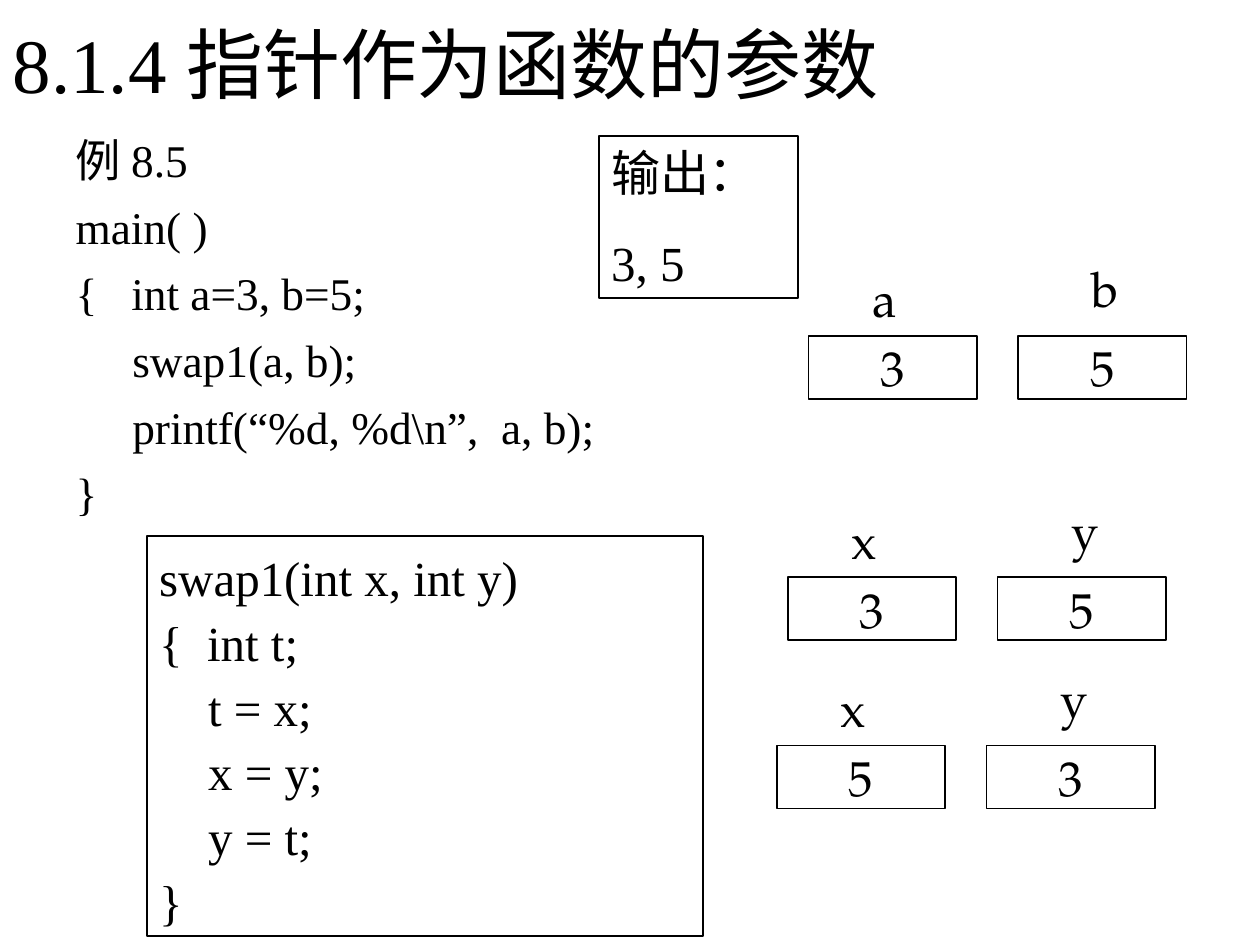
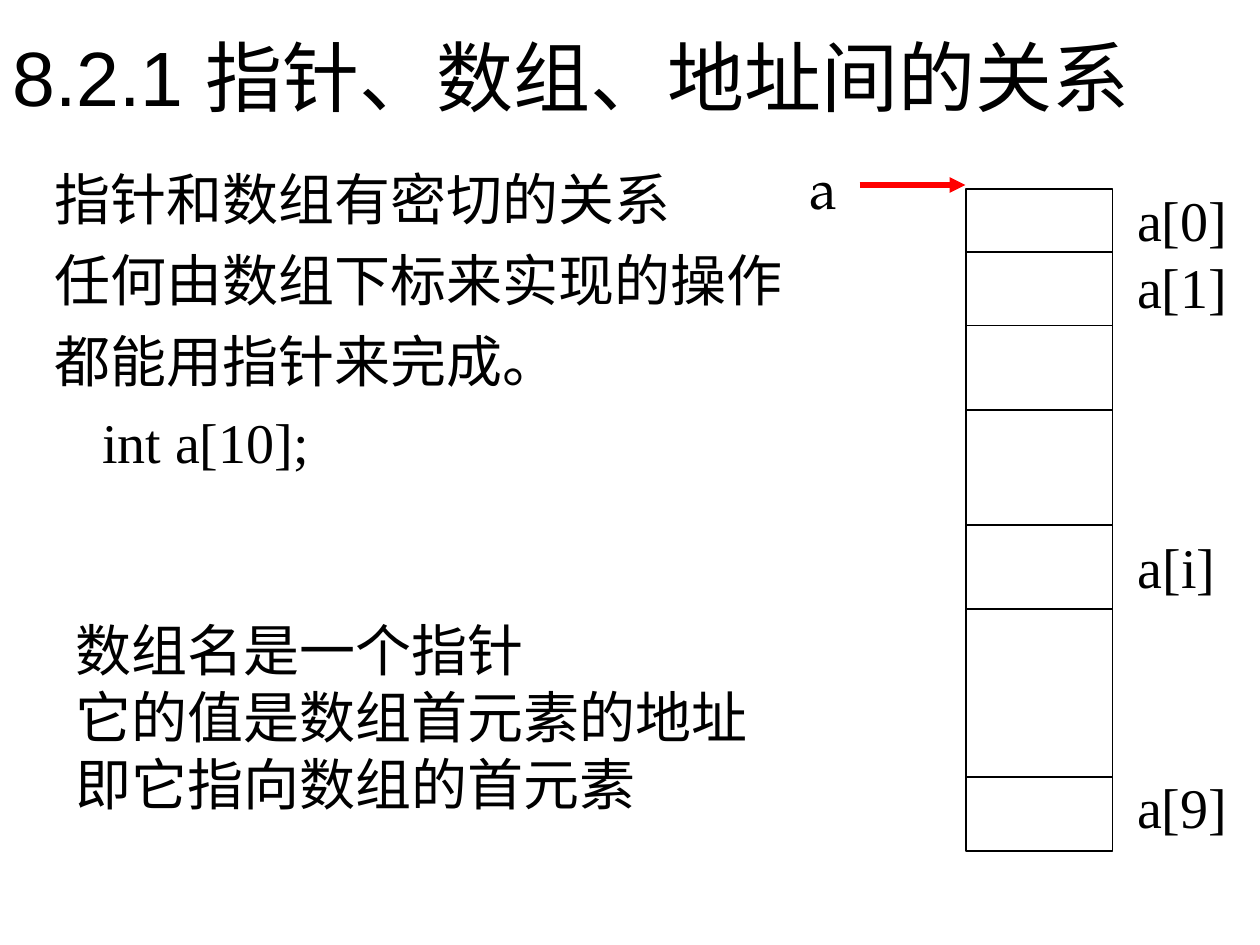
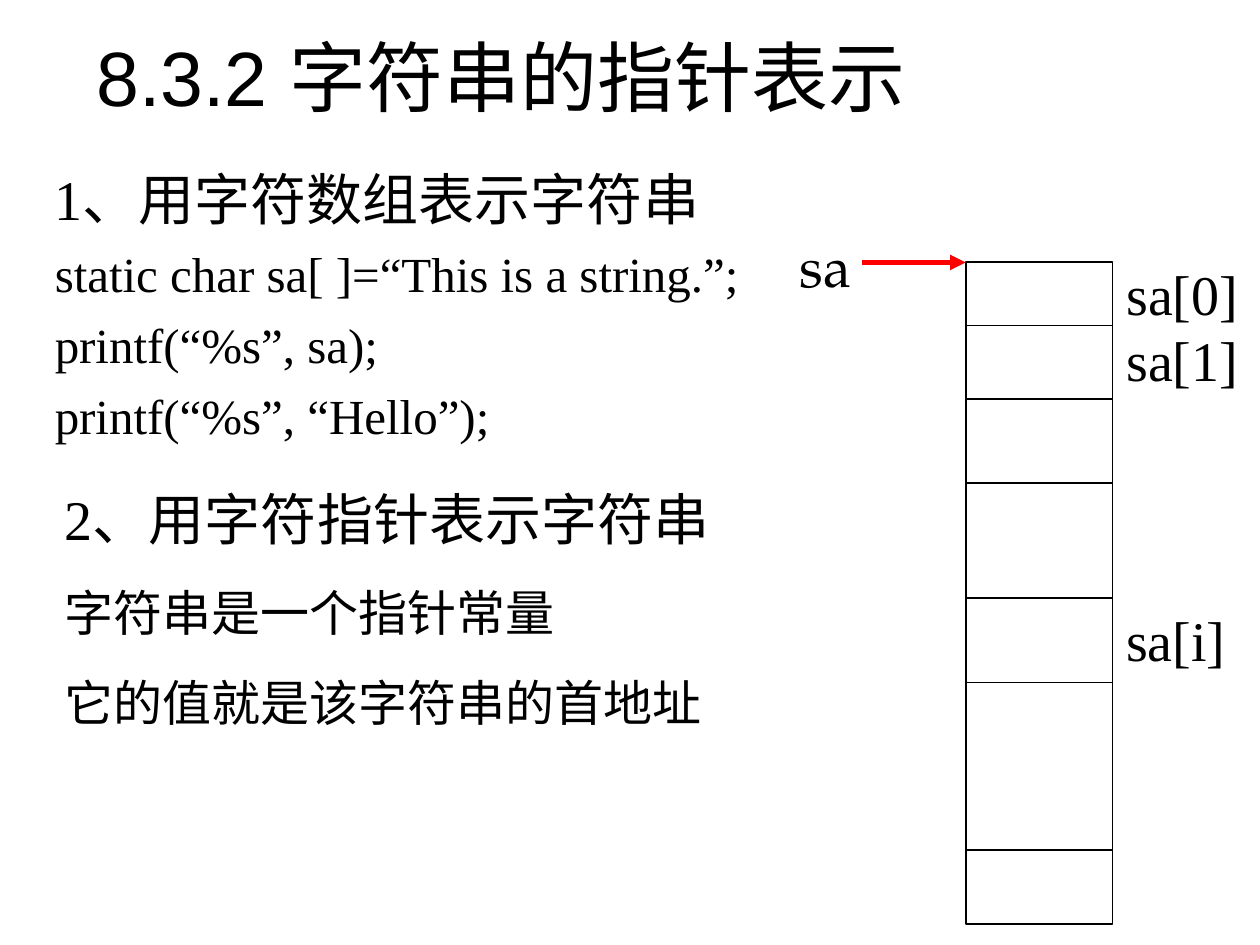
"""Build three lecture slides about pointers in C."""
from dataclasses import dataclass

from lxml import etree
from pptx import Presentation
from pptx import util as u
from pptx.dml.color import RGBColor
from pptx.enum import shapes, text
from pptx.oxml import ns


@dataclass(frozen=True)
class Theme:
    ink: RGBColor = RGBColor(0, 0, 0)
    accent: RGBColor = RGBColor(255, 0, 0)
    serif: str = "Times New Roman"
    sans: str = "Arial"
    symbol: str = "TeX Gyre Pagella"
    title: float = 44
    large: float = 32
    medium: float = 28
    listing: float = 25.9
    thin: float = 1
    thick: float = 3


THEME = Theme()
ROW_EDGES = (1.27, 2.75, 4.45, 6.77, 8.47, 11.85)
ARRAY_LEFT, ARRAY_WIDTH, ARRAY_HEIGHT = 19.47, 2.96, 13.34
CELL_WIDTH, CELL_HEIGHT, CELL_STEP = 3.39, 1.27, 4.23


def assign(target, values):
    for name, value in values.items():
        setattr(target, name, value)


class Deck:
    def __init__(self, theme):
        self.theme = theme
        self.presentation = Presentation()
        assign(self.presentation, {"slide_width": u.Cm(25.4), "slide_height": u.Cm(19.05)})
        self.slide = None

    def new_slide(self, title, box, font):
        layout = self.presentation.slide_layouts[1]
        self.slide = self.presentation.slides.add_slide(layout)
        shape = self.slide.shapes.title
        self.place(shape, box)
        self.set_text(shape, [title], self.theme.title, font, anchor=text.MSO_ANCHOR.MIDDLE)

    def place(self, shape, box):
        assign(shape, dict(zip(("left", "top", "width", "height"), map(u.Cm, box))))

    def set_text(self, shape, lines, size, font=None, gap=0, spacing=1.0, wrap=True,
                 anchor=text.MSO_ANCHOR.TOP, align=text.PP_ALIGN.LEFT):
        frame = shape.text_frame
        assign(frame, {"text": "\n".join(lines), "word_wrap": wrap,
                       "vertical_anchor": anchor, "auto_size": text.MSO_AUTO_SIZE.NONE})
        for index, paragraph in enumerate(frame.paragraphs):
            etree.SubElement(paragraph._p.get_or_add_pPr(), ns.qn("a:buNone"))
            assign(paragraph, {"alignment": align, "line_spacing": spacing,
                               "space_before": u.Pt(gap if index else 0)})
            for run in paragraph.runs:
                assign(run.font, {"name": font or self.theme.serif, "size": u.Pt(size)})
                run.font.color.rgb = self.theme.ink
        return frame.paragraphs

    def body(self, lines, box, size, gap):
        shape = self.slide.placeholders[1]
        self.place(shape, box)
        return self.set_text(shape, lines, size, gap=gap)

    def text_box(self, lines, box, size, **style):
        shape = self.slide.shapes.add_textbox(*map(u.Cm, box))
        return self.set_text(shape, lines, size, **style)

    def label(self, caption, box, size, font=None):
        self.text_box([caption], box, size, font=font, wrap=False,
                      anchor=text.MSO_ANCHOR.MIDDLE, align=text.PP_ALIGN.CENTER)

    def frame(self, box, lines=(), **style):
        shape = self.slide.shapes.add_shape(shapes.MSO_SHAPE.RECTANGLE, *map(u.Cm, box))
        shape.shadow.inherit = False
        shape.fill.background()
        shape.line.color.rgb = self.theme.ink
        shape.line.width = u.Pt(self.theme.thin)
        if lines:
            self.set_text(shape, lines, self.theme.medium, **style)

    def line(self, start, end, arrow=False):
        connector = self.slide.shapes.add_connector(
            shapes.MSO_CONNECTOR.STRAIGHT, *map(u.Cm, start + end))
        connector.line.color.rgb = self.theme.accent if arrow else self.theme.ink
        connector.line.width = u.Pt(self.theme.thick if arrow else self.theme.thin)
        if arrow:
            outline = connector.line._get_or_add_ln()
            etree.SubElement(outline, ns.qn("a:tailEnd"), type="triangle")
        etree.SubElement(connector._element.spPr, ns.qn("a:effectLst"))

    def variable_pair(self, left, top, names, values):
        offsets = ((1.01, -1.48), (5.45, -1.69))
        for index, (name, value, (across, down)) in enumerate(zip(names, values, offsets)):
            self.frame((left + index * CELL_STEP, top, CELL_WIDTH, CELL_HEIGHT), [value],
                       font=self.theme.symbol, wrap=False,
                       anchor=text.MSO_ANCHOR.MIDDLE, align=text.PP_ALIGN.CENTER)
            self.label(name, (left + across, top + down, 1.07, 1.45),
                       self.theme.medium, self.theme.symbol)

    def memory_array(self, top, label_left, labels):
        right = ARRAY_LEFT + ARRAY_WIDTH
        self.frame((ARRAY_LEFT, top, ARRAY_WIDTH, ARRAY_HEIGHT))
        for edge in ROW_EDGES:
            self.line((ARRAY_LEFT, top + edge), (right, top + edge))
        for caption, offset, width in labels:
            self.label(caption, (label_left, top + offset, width, 1.63), self.theme.large)

    def pointer(self, name, box, start, end):
        self.label(name, box, self.theme.large, self.theme.symbol)
        self.line(start, end, arrow=True)


def build_swap(deck):
    deck.new_slide("8.1.4 指针作为函数的参数", (0, 0, 20.75, 2.54), THEME.serif)
    deck.body(["例 8.5", "main( )", "{   int a=3, b=5;", "     swap1(a, b);",
               "     printf(“%d, %d\\n”,  a, b);", "}"],
              (1.27, 2.54, 12.28, 8.26), THEME.listing, 7)
    deck.frame((2.96, 10.8, 11.22, 8.07),
               ["swap1(int x, int y)", "{  int t;", "    t = x;", "    x = y;",
                "    y = t;", "}"], spacing=1.1)
    deck.frame((12.07, 2.75, 4.02, 3.26), ["输出：", "3, 5"], gap=17.5)
    for left, top, names, values in ((16.3, 6.77, "ab", "35"),
                                     (15.88, 11.64, "xy", "35"),
                                     (15.66, 15.03, "xy", "53")):
        deck.variable_pair(left, top, names, values)


def build_array(deck):
    deck.new_slide("8.2.1 指针、数组、地址间的关系", (0, 0, 24.13, 3.07), THEME.sans)
    paragraphs = deck.body(["指针和数组有密切的关系", "任何由数组下标来实现的操作",
                            "都能用指针来完成。", "int a[10];"],
                           (0.85, 3.18, 16.93, 7.2), THEME.large, 8)
    for paragraph in paragraphs[:-1]:
        paragraph.alignment = text.PP_ALIGN.JUSTIFY
    paragraphs[-1]._p.get_or_add_pPr().set("indent", "0")
    deck.memory_array(3.81, 22.68, (("a[0]", -0.2, 2.31), ("a[1]", 1.14, 2.31),
                                    ("a[i]", 6.78, 2.08), ("a[9]", 11.63, 2.31)))
    deck.text_box(["数组名是一个指针", "它的值是数组首元素的地址", "即它指向数组的首元素"],
                  (1.27, 12.28, 14.61, 4.32), THEME.large)
    deck.pointer("a", (16.03, 2.96, 1.14, 1.63), (17.33, 3.73), (19.46, 3.73))


def build_string(deck):
    deck.new_slide("8.3.2 字符串的指针表示", (1.69, 0, 21.38, 3.07), THEME.sans)
    listing = deck.body(["1、用字符数组表示字符串", "static char sa[ ]=“This is a string.”;",
                         "printf(“%s”, sa);", "printf(“%s”, “Hello”);"],
                        (0.85, 3.18, 17.15, 5.93), THEME.medium, 7)
    deck.memory_array(5.29, 22.45, (("sa[0]", -0.2, 2.77), ("sa[1]", 1.14, 2.77),
                                    ("sa[i]", 6.78, 2.51)))
    deck.pointer("sa", (15.8, 4.52, 1.68, 1.63), (17.37, 5.29), (19.47, 5.29))
    notes = deck.text_box(["2、用字符指针表示字符串", "字符串是一个指针常量",
                           "它的值就是该字符串的首地址"],
                          (1.06, 9.65, 16.72, 8.2), THEME.medium, gap=17.5)
    for heading in (listing[0], notes[0]):
        heading.runs[0].font.size = u.Pt(THEME.large)


def main():
    deck = Deck(THEME)
    for build in (build_swap, build_array, build_string):
        build(deck)
    deck.presentation.save("out.pptx")


if __name__ == "__main__":
    main()
